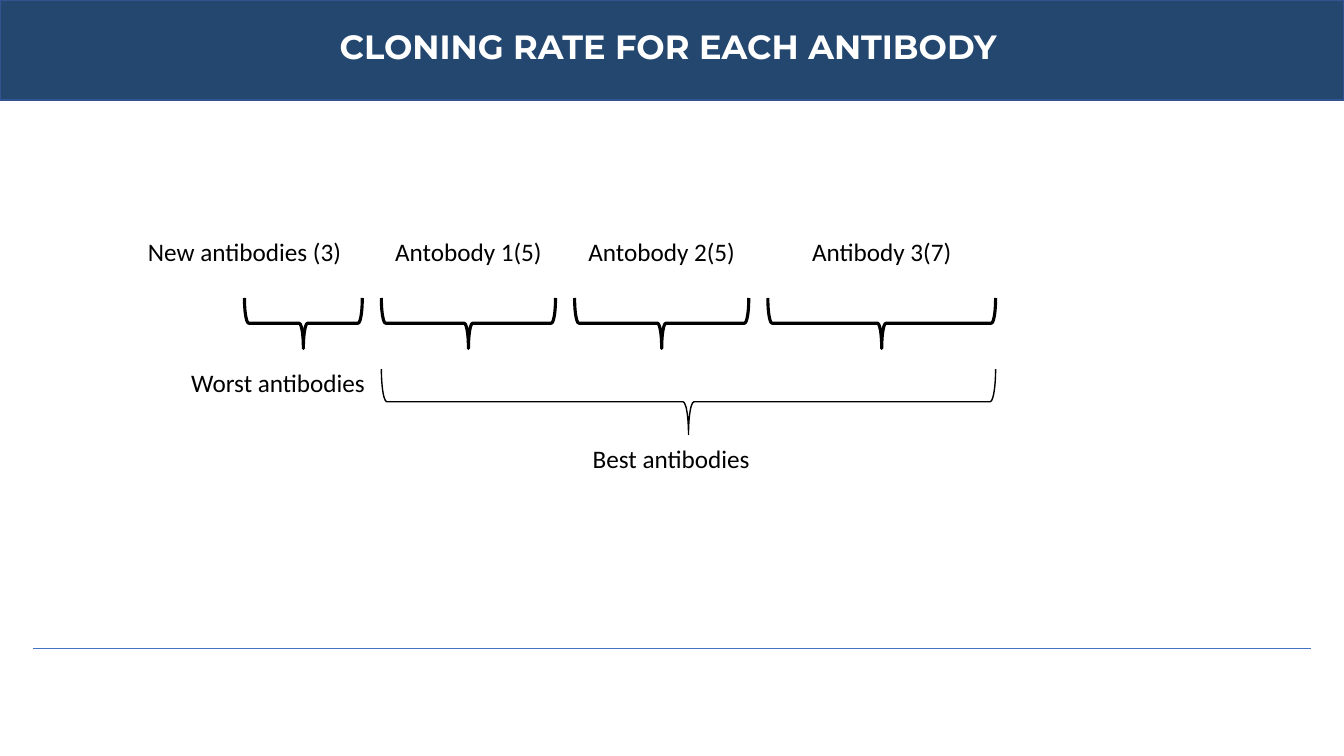
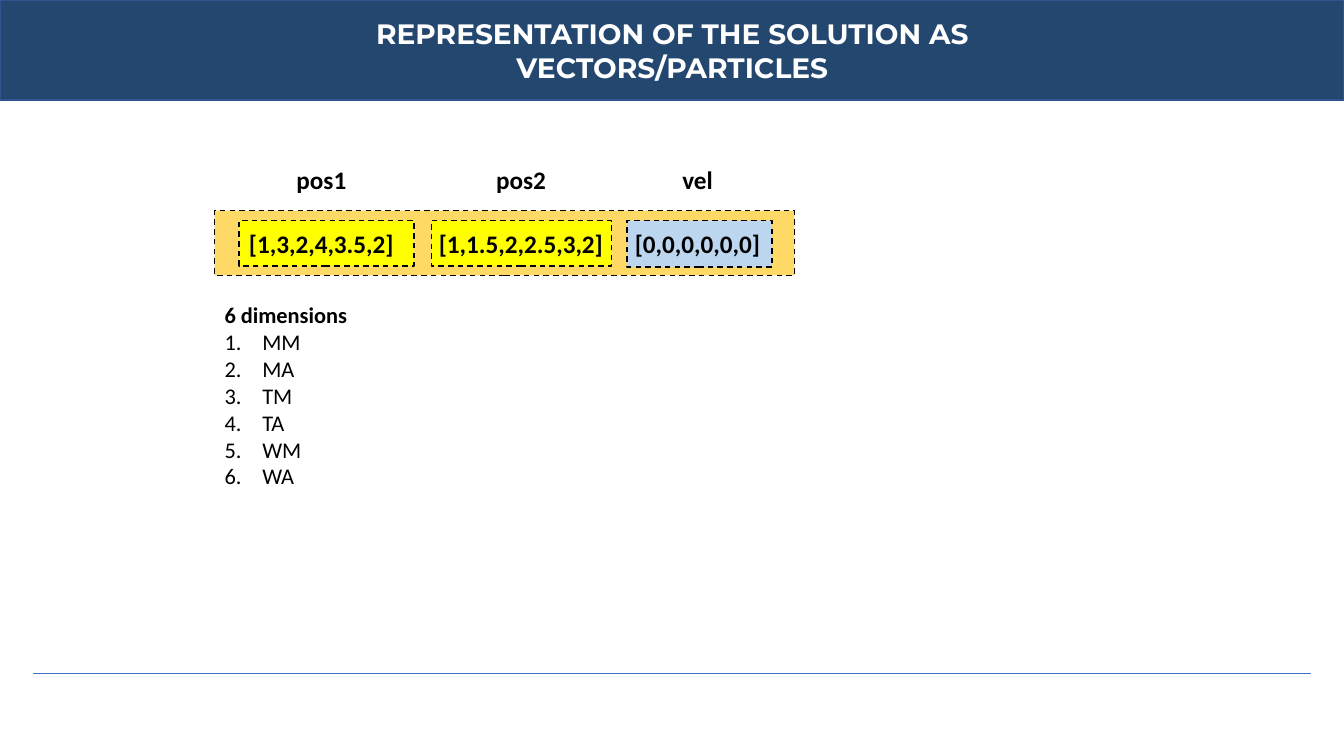
from dataclasses import dataclass

from lxml import etree
from pptx import Presentation
from pptx.dml.color import RGBColor
from pptx.enum import dml, shapes, text
from pptx.oxml.ns import qn
from pptx.util import Cm, Pt

NAVY, BAND_EDGE, RULE_BLUE = "23476F", "31538F", "4472C4"
BLACK, WHITE = "000000", "FFFFFF"
GOLD, YELLOW, PALE_BLUE = "FFD966", "FFFF00", "BBD6EE"
SLIDE_W, SLIDE_H = 33.87, 19.05
TITLE_FONT, BODY_FONT = "Montserrat", "Calibri"
LABEL_H = 1.02
CENTER, LEFT = text.PP_ALIGN.CENTER, text.PP_ALIGN.LEFT


@dataclass
class Box:
    x: float
    y: float
    w: float
    h: float

    def emu(self) -> tuple:
        return Cm(self.x), Cm(self.y), Cm(self.w), Cm(self.h)


@dataclass
class Clone:
    label: str
    w: float


@dataclass
class Vector:
    name: str
    value: str
    box: Box
    mid: float
    fill: str


def rgb(color: str) -> RGBColor:
    return RGBColor.from_string(color)


def style_text(p, font: str, size: float, color: str, bold: bool, align) -> None:
    p.alignment = align
    for r in p.runs:
        r.font.name, r.font.size, r.font.bold = font, Pt(size), bold
        r.font.color.rgb = rgb(color)


def add_rect(parent, box: Box, fill: str, line: str = BLACK, dashed: bool = True):
    sp = parent.add_shape(shapes.MSO_SHAPE.RECTANGLE, *box.emu())
    sp.shadow.inherit = False
    sp.fill.solid()
    sp.fill.fore_color.rgb = rgb(fill)
    sp.line.color.rgb = rgb(line)
    sp.line.width = Pt(1)
    if dashed:
        sp.line.dash_style = dml.MSO_LINE.DASH
    return sp


def add_brace(parent, box: Box, weight: float) -> None:
    shift = (box.w - box.h) / 2
    upright = Box(box.x + shift, box.y - shift, box.h, box.w)
    sp = parent.add_shape(shapes.MSO_SHAPE.RIGHT_BRACE, *upright.emu())
    sp.rotation = 90
    sp.shadow.inherit = False
    sp.fill.background()
    sp.line.color.rgb = rgb(BLACK)
    sp.line.width = Pt(weight)


def add_text(parent, box: Box, lines: list[str], size: float = 18,
             bold: bool = False, align=CENTER):
    tf = parent.add_textbox(*box.emu()).text_frame
    tf.word_wrap = True
    tf.auto_size = text.MSO_AUTO_SIZE.SHAPE_TO_FIT_TEXT
    tf.text = "\n".join(lines)
    for p in tf.paragraphs:
        style_text(p, BODY_FONT, size, BLACK, bold, align)
    return tf


def add_centered(parent, mid: float, y: float, w: float, line: str, bold: bool = False) -> None:
    add_text(parent, Box(mid - w / 2, y, w, LABEL_H), [line], bold=bold)


def number(p) -> None:
    pPr = p._p.get_or_add_pPr()
    pPr.set("marL", str(Cm(0.95)))
    pPr.set("indent", str(-Cm(0.95)))
    etree.SubElement(pPr, qn("a:buFont"), typeface="+mj-lt")
    etree.SubElement(pPr, qn("a:buAutoNum"), type="arabicPeriod")


def new_slide(prs, title: str, box: Box, size: float, rule_y: float):
    s = prs.slides.add_slide(prs.slide_layouts[5])
    add_rect(s.shapes, Box(0, 0, SLIDE_W, 2.52), NAVY, BAND_EDGE, dashed=False)

    sp = s.shapes.title
    s.shapes.element.append(sp.element)
    sp.left, sp.top, sp.width, sp.height = box.emu()
    tf = sp.text_frame
    tf.text = title
    tf.word_wrap = True
    tf.auto_size = text.MSO_AUTO_SIZE.NONE
    tf.vertical_anchor = text.MSO_ANCHOR.MIDDLE
    style_text(tf.paragraphs[0], TITLE_FONT, size, WHITE, True, CENTER)

    rule = s.shapes.add_connector(shapes.MSO_CONNECTOR.STRAIGHT,
                                  Cm(0.84), Cm(rule_y), Cm(33.05), Cm(rule_y))
    rule.line.color.rgb = rgb(RULE_BLUE)
    rule.line.width = Pt(0.75)
    etree.SubElement(rule.element.spPr, qn("a:effectLst"))
    return s


def cloning_slide(prs) -> None:
    s = new_slide(prs, "CLONING RATE FOR EACH ANTIBODY", Box(6.32, 0.53, 21.03, 1.27), 24, 16.33)
    gap, brace_y, brace_h, worst_x, worst_w = 0.48, 7.51, 1.27, 6.16, 2.97
    clones = [Clone("Antobody 1(5)", 4.39), Clone("Antobody 2(5)", 4.39),
              Clone("Antibody 3(7)", 5.74)]

    add_brace(s.shapes, Box(worst_x, brace_y, worst_w, brace_h), 2.25)
    add_text(s.shapes, Box(3.48, 5.82, 6.15, LABEL_H), ["New antibodies (3)"], align=LEFT)
    add_text(s.shapes, Box(4.57, 9.14, 6.15, LABEL_H), ["Worst antibodies"], align=LEFT)

    best_x = x = worst_x + worst_w + gap
    for clone in clones:
        add_brace(s.shapes, Box(x, brace_y, clone.w, brace_h), 2.25)
        add_centered(s.shapes, x + clone.w / 2, 5.84, 4.85, clone.label)
        x += clone.w + gap

    add_brace(s.shapes, Box(best_x, 9.3, x - gap - best_x, 1.65), 1)
    add_text(s.shapes, Box(13.84, 11.05, 6.15, LABEL_H), ["Best antibodies"])


def vectors_slide(prs) -> None:
    s = new_slide(prs, "REPRESENTATION OF THE SOLUTION AS VECTORS/PARTICLES",
                  Box(6.43, 0.28, 21.03, 1.96), 20, 16.97)
    vectors = [
        Vector("pos1", "[1,3,2,4,3.5,2]", Box(6.02, 5.56, 4.42, 1.14), 8.1, YELLOW),
        Vector("pos2", "[1,1.5,2,2.5,3,2]", Box(10.87, 5.56, 4.55, 1.14), 13.13, YELLOW),
        Vector("vel", "[0,0,0,0,0,0]", Box(15.8, 5.56, 3.66, 1.17), 17.58, PALE_BLUE),
    ]
    particle = s.shapes.add_group_shape().shapes
    add_rect(particle, Box(5.41, 5.31, 14.61, 1.63), GOLD)
    for v in vectors:
        add_rect(particle, v.box, v.fill)
        add_centered(particle, v.mid, 5.64, 4.98, v.value, bold=True)
        add_centered(s.shapes, v.mid, 4.01, 2.39, v.name, bold=True)

    tf = add_text(s.shapes, Box(5.41, 7.47, 5.23, 5.05),
                  ["6 dimensions", "MM", "MA", "TM", "TA", "WM", "WA"], 16, align=LEFT)
    heading, *dimensions = tf.paragraphs
    heading.runs[0].font.bold = True
    for p in dimensions:
        number(p)


def main() -> None:
    prs = Presentation()
    prs.slide_width, prs.slide_height = Cm(SLIDE_W), Cm(SLIDE_H)
    cloning_slide(prs)
    vectors_slide(prs)
    prs.save("out.pptx")


if __name__ == "__main__":
    main()
